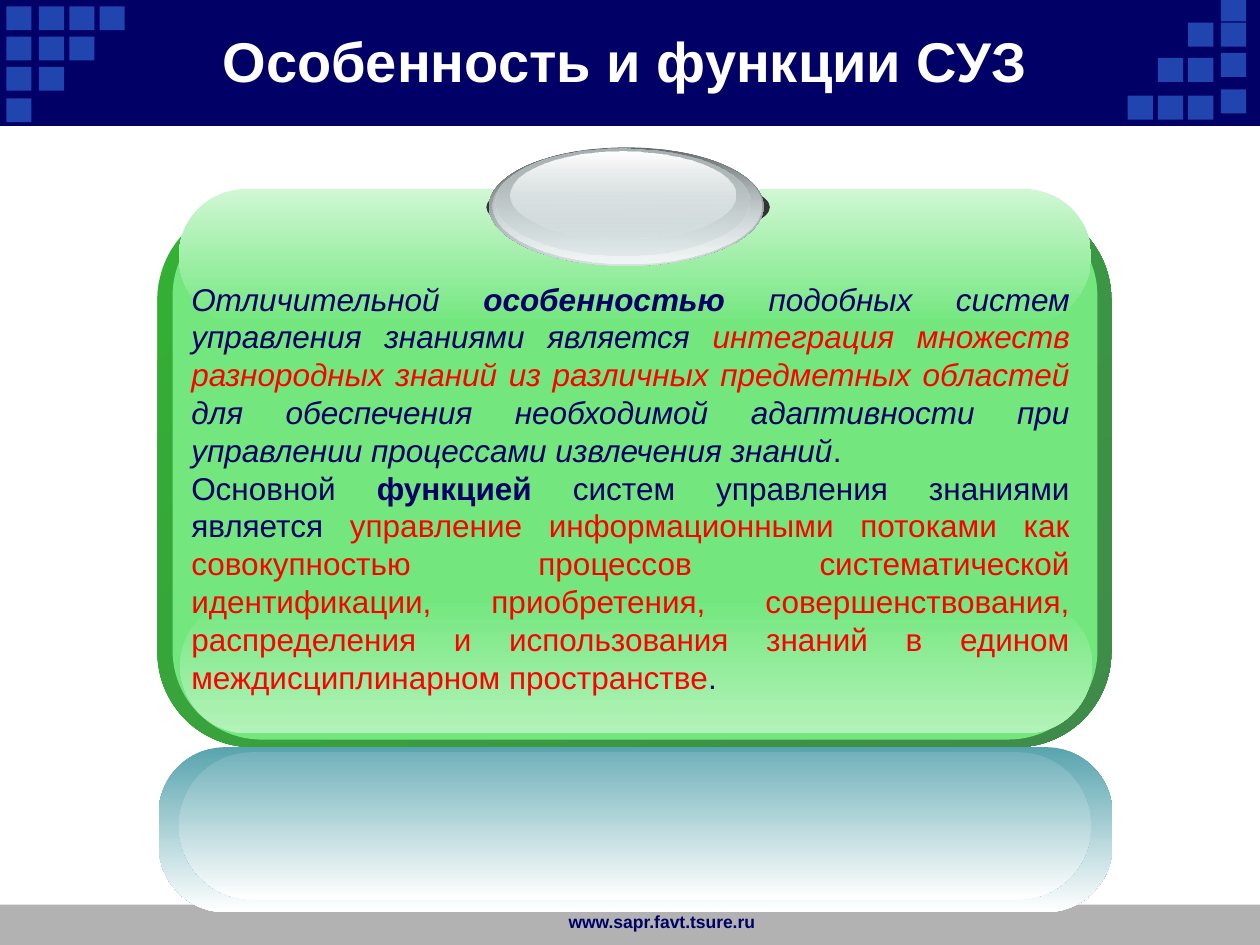
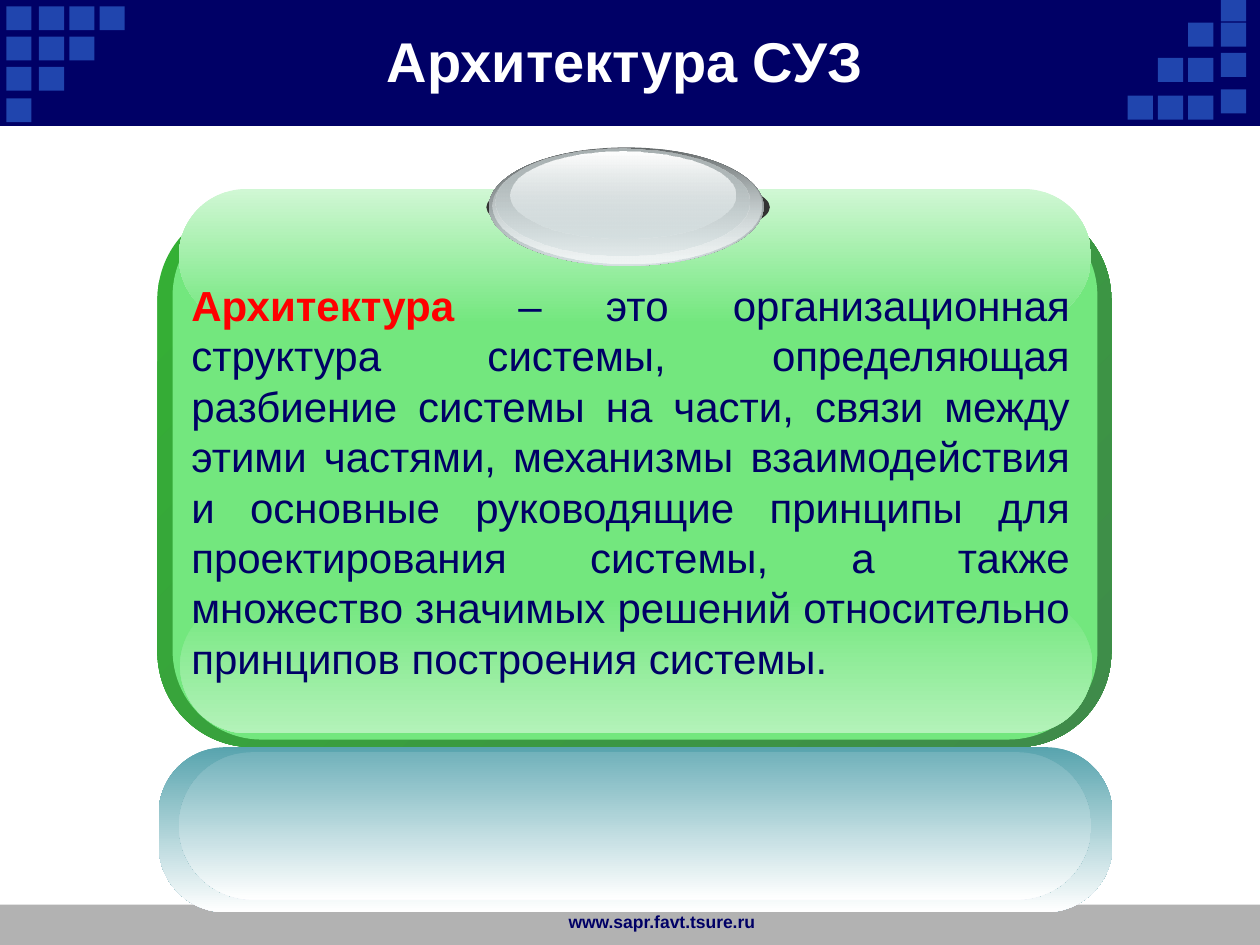
from dataclasses import dataclass
from lxml.etree import SubElement
from pptx import Presentation
from pptx.dml.color import RGBColor
from pptx.enum.shapes import MSO_SHAPE
from pptx.enum.text import MSO_ANCHOR, MSO_AUTO_SIZE, PP_ALIGN
from pptx.oxml.ns import qn
from pptx.util import Emu, Pt

SCALE = 9144  # 100 px to the inch
RECT, ROUND, OVAL = MSO_SHAPE.RECTANGLE, MSO_SHAPE.ROUNDED_RECTANGLE, MSO_SHAPE.OVAL


@dataclass(frozen=True)
class Theme:
    font: str = "Arial"
    navy: str = "000066"
    tile: str = "2045AE"
    gray: str = "B2B2B2"
    white: str = "FFFFFF"
    red: str = "FF0000"
    green: str = "73E77E"
    rim: tuple = ("34B034", "3F8B4A")
    base: tuple = ("73E77E", "B3F2B9")
    gloss: tuple = ("D0F7D4", "73E77E")
    dark: str = "333333"
    steel: tuple = ("636869", "D6E1E2")
    glow: tuple = (("D6E1E2", 0), "F1F5F5")
    metal: tuple = ("AAB2B3", ("D6E1E2", 48))
    shine: tuple = ("FFFFFF", ("D6E1E2", 38))
    teal: tuple = ("58A4AE", "FFFFFF")
    water: tuple = ("72B2BB", "FFFFFF")
    title: int = 32
    foot: int = 10


THEME = Theme()


def px(*nums):
    return [Emu(n * SCALE) for n in nums]


def write(frame, *paras, size, color=THEME.navy, bold=False, align=PP_ALIGN.LEFT):
    """Each paragraph is a list of strings or (string, changes) pairs."""
    frame.word_wrap = True
    frame.auto_size = MSO_AUTO_SIZE.NONE
    for i, parts in enumerate(paras):
        para = frame.add_paragraph() if i else frame.paragraphs[0]
        para.alignment = align
        for part in parts:
            words, change = (part, {}) if isinstance(part, str) else part
            run = para.add_run()
            run.text = words
            font = run.font
            font.name, font.size = THEME.font, Pt(size)
            font.bold = change.get("bold", bold)
            font.italic = change.get("italic", False)
            font.color.rgb = RGBColor.from_string(change.get("color", color))


class Deck:
    def __init__(self, theme):
        self.theme = theme
        self.prs = Presentation()
        self.prs.slide_width, self.prs.slide_height = px(1000, 750)
        self.base = self.prs.slide_layouts[5]
        self.slide = None

    def start(self, title):
        self.slide = self.prs.slides.add_slide(self.base)
        head = self.slide.shapes.title
        head.left, head.top, head.width, head.height = px(92, 17, 808, 62)
        head.text_frame.vertical_anchor = MSO_ANCHOR.MIDDLE
        write(head.text_frame, [title], size=self.theme.title,
              color=self.theme.white, bold=True, align=PP_ALIGN.CENTER)

    def shape(self, kind, box, fill, angle=90, curve=None):
        item = self.slide.shapes.add_shape(kind, *px(*box))
        item.shadow.inherit = False
        item.line.fill.background()
        if curve is not None:
            item.adjustments[0] = curve
        if isinstance(fill, str):
            item.fill.solid()
            item.fill.fore_color.rgb = RGBColor.from_string(fill)
        else:
            self.blend(item.fill, fill, angle)
        return item

    def blend(self, fill, tones, angle):
        fill.gradient()
        fill.gradient_angle = 360 - angle
        for stop, tone in zip(fill.gradient_stops, tones):
            color, alpha = (tone, 100) if isinstance(tone, str) else tone
            stop.color.rgb = RGBColor.from_string(color)
            if alpha < 100:
                node = next(stop._gs.iter(qn("a:srgbClr")))
                SubElement(node, qn("a:alpha"), val=str(alpha * 1000))

    def text(self, box, *paras, **style):
        item = self.slide.shapes.add_textbox(*px(*box))
        write(item.text_frame, *paras, **style)

    def share(self, items):
        """Move items behind everything on the layout."""
        tree = self.base.shapes._spTree
        for i, item in enumerate(items):
            tree.insert(2 + i, item._element)

    def frame(self):
        t = self.theme
        bars = [self.shape(RECT, (0, 718, 1000, 32), t.gray),
                self.shape(RECT, (0, 0, 1000, 100), t.navy)]
        # Left stair of tiles, then the right stair and its edge column
        spots = [(x, y) for i, y in enumerate((5, 29, 53, 78))
                 for x in (5, 31, 55, 79)[:4 - i]]
        spots += [(x, y) for i, y in enumerate((76, 46, 18))
                  for x in (895, 919, 943)[i:]]
        spots += [(969, y) for y in (-2, 18, 42, 71)]
        tiles = [self.shape(RECT, (x, y, 20, 19), t.tile) for x, y in spots]
        self.share(bars + tiles)

    def card(self):
        t = self.theme
        # Green panel
        self.shape(ROUND, (125, 162, 757, 431), t.rim, angle=45, curve=0.175)
        self.shape(ROUND, (137, 164, 734, 423), t.green, curve=0.167)
        self.shape(ROUND, (143, 475, 724, 107), t.base, curve=0.5)
        self.shape(ROUND, (142, 150, 724, 107), t.gloss, curve=0.5)
        # Metal button
        for box, fill in (((386, 138, 225, 53), t.dark),
                          ((388, 117, 218, 94), t.steel),
                          ((391, 117, 213, 92), t.glow),
                          ((393, 118, 202, 85), t.metal),
                          ((405, 120, 179, 69), t.shine)):
            self.shape(OVAL, box, fill)
        # Mirror below the panel
        self.shape(ROUND, (126, 593, 757, 131), t.teal, curve=0.404)
        self.shape(ROUND, (142, 597, 724, 117), t.water, curve=0.5)

    def page(self, title, *paras, size):
        self.start(title)
        if len(self.prs.slides) == 1:
            self.frame()
        self.text((417, 718, 192, 32), ["www.sapr.favt.tsure.ru"],
                  size=self.theme.foot, bold=True, align=PP_ALIGN.RIGHT)
        self.card()
        self.text((142, 217, 717, 343), *paras, size=size, align=PP_ALIGN.JUSTIFY)


def main():
    deck = Deck(THEME)
    slant = {"italic": True}
    red = {"color": THEME.red}
    bold = {"bold": True}

    # Features and functions
    deck.page(
        "Особенность и функции СУЗ",
        [("Отличительной ", slant),
         ("особенностью", slant | bold),
         (" подобных систем управления знаниями является ", slant),
         ("интеграция множеств разнородных знаний из различных "
          "предметных областей ", slant | red),
         ("для обеспечения необходимой адаптивности при управлении "
          "процессами извлечения знаний", slant),
         "."],
        ["Основной ",
         ("функцией", bold),
         " систем управления знаниями является ",
         ("управление информационными потоками как совокупностью процессов "
          "систематической идентификации, приобретения, совершенствования, "
          "распределения и использования знаний в едином "
          "междисциплинарном пространстве", red),
         "."],
        size=18)

    # Architecture
    deck.page(
        "Архитектура СУЗ",
        [("Архитектура", bold | red),
         " – это организационная структура системы, определяющая разбиение "
         "системы на части, связи между этими частями, механизмы "
         "взаимодействия и основные руководящие принципы для проектирования "
         "системы, а также множество значимых решений относительно "
         "принципов построения системы."],
        size=24)

    deck.prs.save("out.pptx")


if __name__ == "__main__":
    main()
